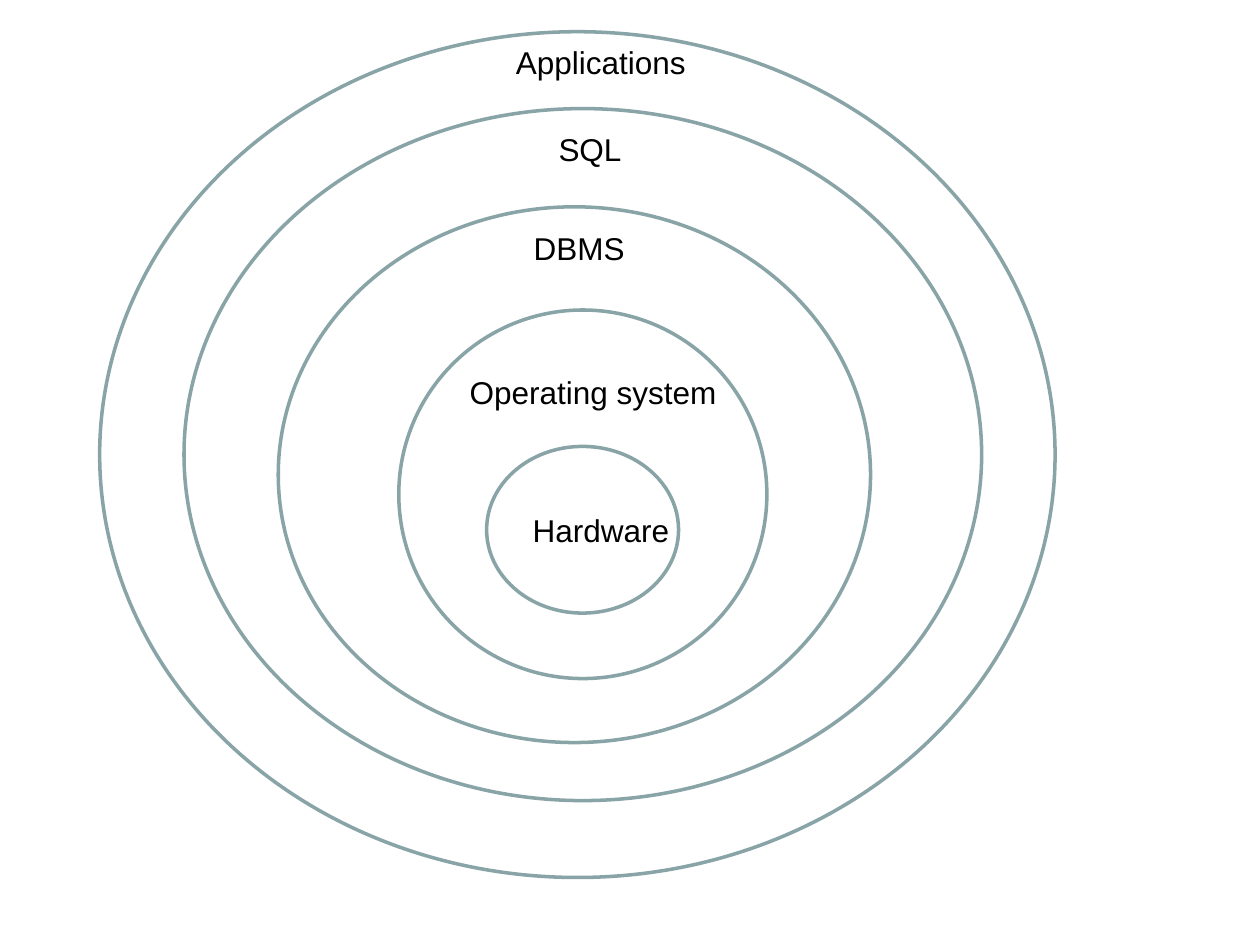
from pptx import Presentation
from pptx import util as u
from pptx.dml import color
from pptx.enum import shapes, text

COLORS = {"ring": "89A4A7", "label": "000000"}
LABEL_HEIGHT = 1.02

LAYERS = [
    ("Applications", (2.01, 0.64, 19.26, 17.05), (10.15, 0.74, 3.96)),
    ("SQL", (3.71, 2.19, 16.08, 13.95), (11.01, 2.49, 1.8)),
    ("DBMS", (5.61, 4.17, 11.94, 10.8), (10.51, 4.5, 2.36)),
    ("Operating system", (8.04, 6.25, 7.42, 7.43), (9.22, 7.39, 5.52)),
    ("Hardware", (9.81, 9, 3.87, 3.36), (10.49, 10.17, 3.3)),
]


def rgb(name):
    return color.RGBColor.from_string(COLORS[name])


def add_ring(slide, bounds):
    ring = slide.shapes.add_shape(shapes.MSO_SHAPE.OVAL, *map(u.Cm, bounds))
    ring.shadow.inherit = False
    ring.fill.background()
    ring.line.color.rgb = rgb("ring")
    ring.line.width = u.Pt(2)


def add_label(slide, wording, left, top, width, *, size=18, font="Arial", ink="label"):
    label = slide.shapes.add_textbox(u.Cm(left), u.Cm(top), u.Cm(width), u.Cm(LABEL_HEIGHT))
    frame = label.text_frame
    frame.word_wrap = False
    frame.auto_size = text.MSO_AUTO_SIZE.SHAPE_TO_FIT_TEXT
    run = frame.paragraphs[0].add_run()
    run.text = wording
    run.font.size = u.Pt(size)
    run.font.name = font
    run.font.color.rgb = rgb(ink)


def main():
    deck = Presentation()
    deck.slide_width, deck.slide_height = u.Cm(25.4), u.Cm(19.05)
    slide = deck.slides.add_slide(deck.slide_layouts[6])
    for layer, ring_bounds, label_place in LAYERS:
        add_ring(slide, ring_bounds)
        add_label(slide, layer, *label_place)
    deck.save("out.pptx")


if __name__ == "__main__":
    main()
